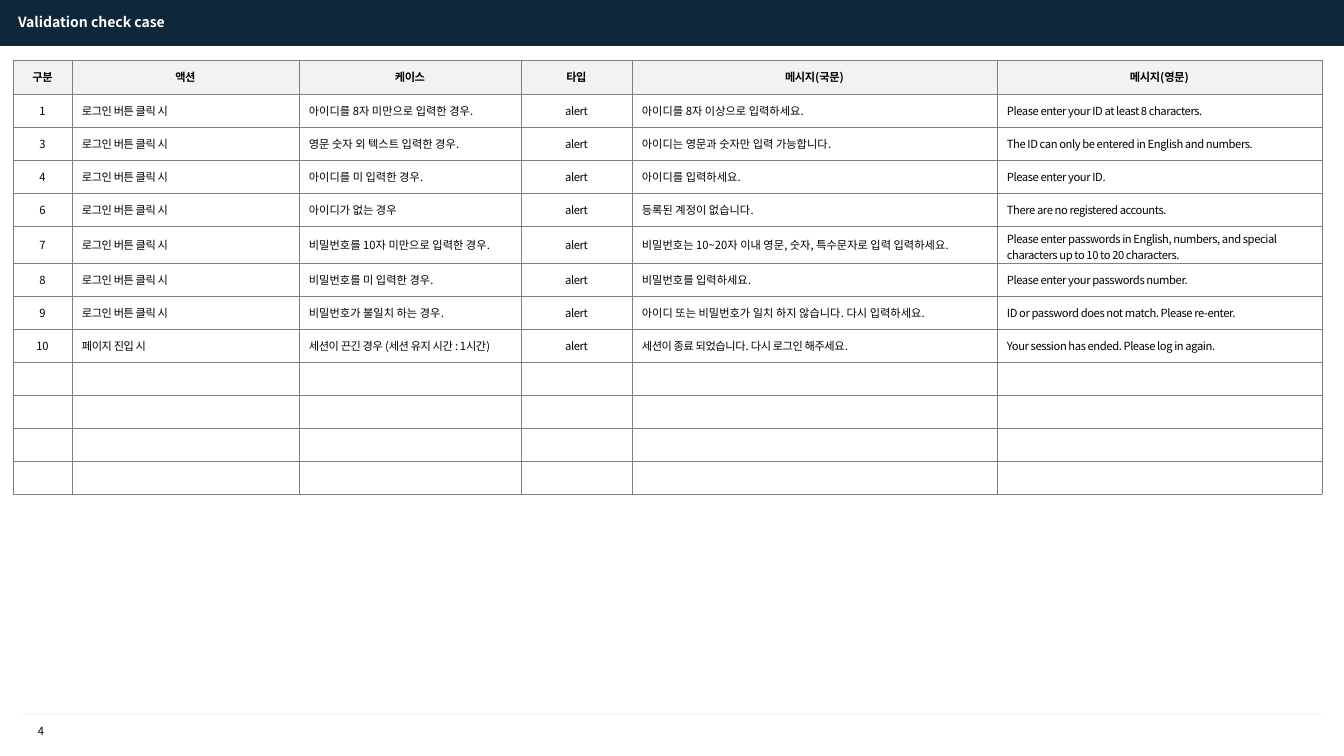
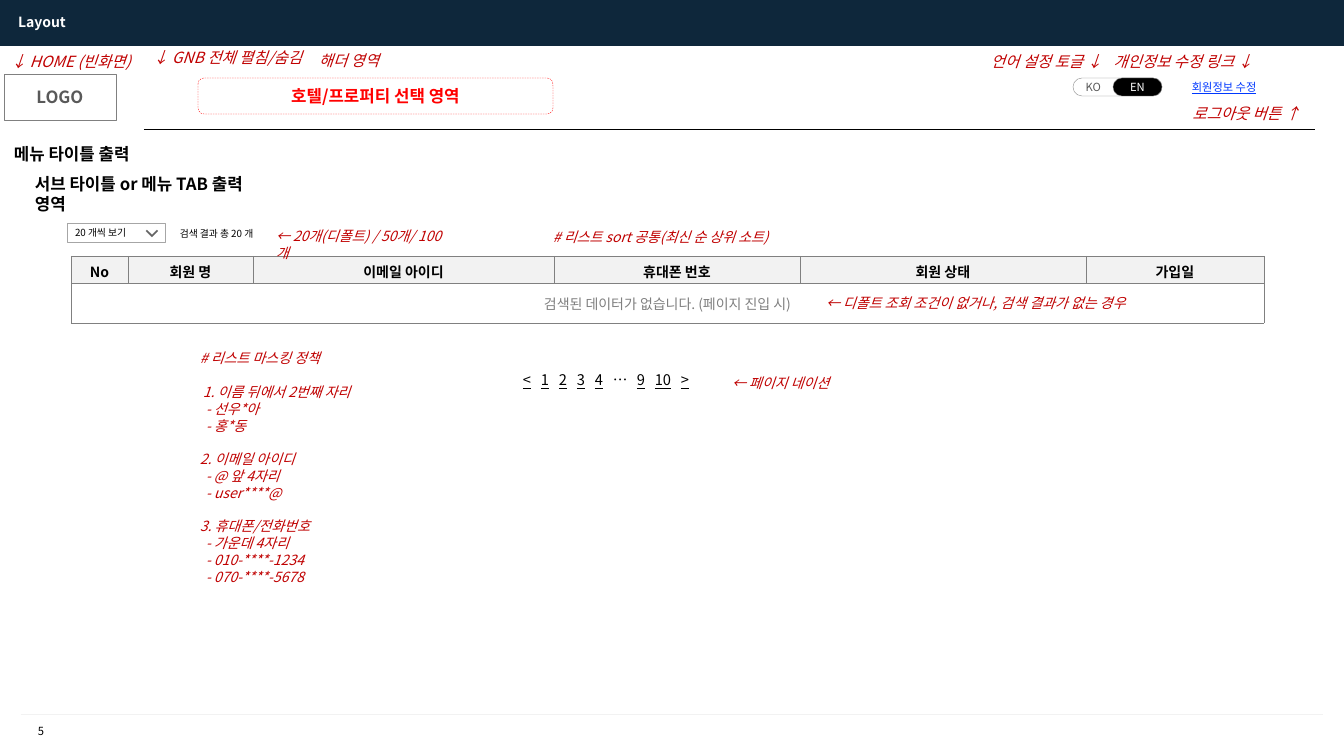
from lxml import etree
from pptx import Presentation
from pptx import util as u
from pptx.dml.color import RGBColor
from pptx.enum import dml, shapes, text
from pptx.oxml.ns import qn

SCALE = 914400 / 100.8
WIDTH, HEIGHT = 1344, 756
FIRST_NUMBER = 4
FONT = "Noto Sans CJK KR"
LINE_HEIGHT = 1.2
TIGHT = -30

COLORS = {
    "navy": "0E273B", "white": "FFFFFF", "black": "000000", "pale": "F2F2F2",
    "grey": "808080", "light": "A6A6A6", "dark": "595959", "chevron": "5F5F5F",
    "note": "C00000", "red": "FF0000", "link": "0038FE",
}

# name: (size, colour, font attributes)
STYLES = {
    "title": (10, "white", {"bold": True}),
    "small": (8, "black", {}),
    "caption": (7, "black", {}),
    "head_small": (8, "black", {"bold": True}),
    "head": (10, "black", {"bold": True}),
    "empty": (10, "grey", {"bold": False}),
    "note": (10, "note", {"italic": True}),
    "big_note": (11, "note", {"italic": True}),
    "heading": (12, "black", {"bold": True}),
    "logo": (12, "dark", {"bold": True}),
    "area": (12, "red", {"bold": True}),
    "link": (8, "link", {"underline": True}),
    "off": (8, "dark", {}),
    "on": (8, "white", {}),
    "pages": (10.5, "black", {}),
}

LEFT, CENTER, RIGHT = text.PP_ALIGN.LEFT, text.PP_ALIGN.CENTER, text.PP_ALIGN.RIGHT

CASE_COLUMNS = [("구분", 59), ("액션", 227), ("케이스", 222), ("타입", 111),
                ("메시지(국문)", 365), ("메시지(영문)", 325)]
LOGIN = "로그인 버튼 클릭 시"
# number, action, case, Korean message, English message
CASES = [
    ("1", LOGIN, "아이디를 8자 미만으로 입력한 경우.", "아이디를 8자 이상으로 입력하세요.",
     "Please enter your ID at least 8 characters."),
    ("3", LOGIN, "영문 숫자 외 텍스트 입력한 경우.", "아이디는 영문과 숫자만 입력 가능합니다.",
     "The ID can only be entered in English and numbers."),
    ("4", LOGIN, "아이디를 미 입력한 경우.", "아이디를 입력하세요.", "Please enter your ID."),
    ("6", LOGIN, "아이디가 없는 경우", "등록된 계정이 없습니다.",
     "There are no registered accounts."),
    ("7", LOGIN, "비밀번호를 10자 미만으로 입력한 경우.",
     "비밀번호는 10~20자 이내 영문, 숫자, 특수문자로 입력 입력하세요.",
     "Please enter passwords in English, numbers, and special characters up to 10 to 20 characters."),
    ("8", LOGIN, "비밀번호를 미 입력한 경우.", "비밀번호를 입력하세요.",
     "Please enter your passwords number."),
    ("9", LOGIN, "비밀번호가 불일치 하는 경우.",
     "아이디 또는 비밀번호가 일치 하지 않습니다. 다시 입력하세요.",
     "ID or password does not match. Please re-enter."),
    ("10", "페이지 진입 시", "세션이 끈긴 경우 (세션 유지 시간 : 1시간)",
     "세션이 종료 되었습니다. 다시 로그인 해주세요.",
     "Your session has ended. Please log in again."),
]
EMPTY_ROWS = 4
HEAD_ROW, CASE_ROW, TALL_CASE_ROW, TALL_CASE = 34, 33, 37, "7"

MEMBER_COLUMNS = [("No", 57), ("회원 명", 125), ("이메일 아이디", 301),
                  ("휴대폰 번호", 246), ("회원 상태", 286), ("가입일", 178)]
NO_DATA = "검색된 데이터가 없습니다. (페이지 진입 시)"

# text, left, top, width, style, alignment
LABELS = [
    ("← 디폴트 조회 조건이 없거나, 검색 결과가 없는 경우", 816, 290, 400, "note", LEFT),
    ("검색 결과 총 20 개", 170, 223, 110, "caption", LEFT),
    ("← 20개(디폴트) / 50개/ 100\v개", 266, 223, 240, "note", LEFT),
    ("# 리스트 sort 공통(최신 순 상위 소트)", 543, 224, 300, "note", LEFT),
    ("← 페이지 네이션", 722, 370, 150, "note", LEFT),
    ("↓ HOME (빈화면)", 1, 47, 160, "big_note", LEFT),
    ("↓ GNB 전체 펼침/숨김", 143, 43, 243, "big_note", LEFT),
    ("해더 영역", 309, 46, 110, "big_note", LEFT),
    ("언어 설정 토글 ↓", 869, 47, 243, "big_note", RIGHT),
    ("개인정보 수정 링크 ↓", 1020, 47, 243, "big_note", RIGHT),
    ("로그아웃 버튼 ↑", 1067, 99, 243, "big_note", RIGHT),
    ("메뉴 타이틀 출력", 4, 139, 180, "heading", LEFT),
    ("서브 타이틀 or 메뉴 TAB 출력\v영역", 25, 169, 290, "heading", LEFT),
    ("회원정보 수정", 1182, 75, 110, "link", LEFT),
]

RECT, ROUND = shapes.MSO_SHAPE.RECTANGLE, shapes.MSO_SHAPE.ROUNDED_RECTANGLE
# text, preset, box, corner, fill, line, line width, style, alignment, side inset
BOXES = [
    ("LOGO", RECT, (4, 74, 112, 46), None, None, "grey", 0.25, "logo", CENTER, 10),
    ("20 개씩 보기", RECT, (67, 223, 98, 19), None, "white", "light", 0.5, "caption", LEFT, 8),
    ("KO", ROUND, (1073, 78, 89, 18), 0.5, None, "grey", 0.25, "off", LEFT, 10),
    ("EN", ROUND, (1113, 78, 49, 18), 0.5, "black", "grey", 0.25, "on", CENTER, 0),
    ("호텔/프로퍼티 선택 영역", ROUND, (198, 78, 355, 36), None, None, "red", 0.25,
     "area", CENTER, 10),
]
CHEVRON = [(158, 231), (157, 230), (152, 235), (147, 230), (146, 231), (152, 237)]

# page mark and its distance from the first one
PAGES = [("<", 0), ("1", 18), ("2", 36), ("3", 54), ("4", 72), ("…", 90),
         ("9", 114), ("10", 132), (">", 158)]

# groups of (text, indent)
MASKING = [
    [("# 리스트 마스킹 정책", 0)],
    [("1. 이름 뒤에서 2번째 자리", 3), ("- 선우*아", 6), ("- 홍*동", 6)],
    [("2. 이메일 아이디", 0), ("- @ 앞 4자리", 6), ("- user****@", 6)],
    [("3. 휴대폰/전화번호", 0), ("- 가운데 4자리", 6), ("- 010-****-1234", 6),
     ("- 070-****-5678", 6)],
]


def px(length):
    return u.Emu(round(length * SCALE))


def rgb(name):
    return RGBColor.from_string(COLORS[name])


def format_paragraph(paragraph, style, align=LEFT, spacing=0, fixed=True):
    size, color, attributes = STYLES[style]
    paragraph.alignment = align
    if fixed:
        paragraph.line_spacing = u.Pt(size * LINE_HEIGHT)
    font = paragraph.font
    font.size, font.name = u.Pt(size), FONT
    font.color.rgb = rgb(color)
    for name, value in attributes.items():
        setattr(font, name, value)
    properties = paragraph._p.pPr.find(qn("a:defRPr"))
    etree.SubElement(properties, qn("a:ea"), typeface=FONT)
    if spacing:
        properties.set("spc", str(spacing))
    if not paragraph.runs:
        etree.SubElement(paragraph._p, qn("a:endParaRPr"), sz=str(int(size * 100)))


def add_text(slide, content, left, top, width, style, align=LEFT):
    height = STYLES[style][0] * LINE_HEIGHT * 1.4 * (content.count("\v") + 1) + 10
    box = slide.shapes.add_textbox(px(left), px(top), px(width), px(height))
    frame = box.text_frame
    frame.word_wrap = True
    frame.text = content
    format_paragraph(frame.paragraphs[0], style, align)
    return frame


def add_box(slide, content, preset, box, corner, fill, line, line_width, style, align, inset):
    shape = slide.shapes.add_shape(preset, *map(px, box))
    shape.shadow.inherit = False
    if corner is not None:
        shape.adjustments[0] = corner
    paint(shape, fill, line, line_width)
    frame = shape.text_frame
    frame.margin_left = frame.margin_right = px(inset)
    frame.margin_top = frame.margin_bottom = 0
    frame.vertical_anchor = text.MSO_ANCHOR.MIDDLE
    frame.text = content
    format_paragraph(frame.paragraphs[0], style, align)
    return shape


def paint(shape, fill, line=None, line_width=0.75):
    if fill:
        shape.fill.solid()
        shape.fill.fore_color.rgb = rgb(fill)
    else:
        shape.fill.background()
    if line:
        shape.line.color.rgb = rgb(line)
        shape.line.width = u.Pt(line_width)
    else:
        shape.line.fill.background()


def add_line(slide, left, right, y, color):
    line = slide.shapes.add_connector(shapes.MSO_CONNECTOR.STRAIGHT,
                                      px(left), px(y), px(right), px(y))
    line.line.color.rgb = rgb(color)
    line.line.width = u.Pt(0.75)
    etree.SubElement(line.element.spPr, qn("a:effectLst"))
    return line


def add_grid(slide, left, top, widths, heights):
    frame = slide.shapes.add_table(len(heights), len(widths), px(left), px(top),
                                   px(sum(widths)), px(sum(heights)))
    table = frame.table
    table.first_row = table.horz_banding = False
    for column, width in zip(table.columns, widths):
        column.width = px(width)
    for row, height in zip(table.rows, heights):
        row.height = px(height)
    return table


def fill_cell(cell, content, fill, style, align=CENTER, spacing=0, drop=0):
    """Fill one table cell; drop lowers its text by that many px."""
    cell.text = content
    cell.vertical_anchor = text.MSO_ANCHOR.MIDDLE
    cell.margin_top, cell.margin_bottom = px(2 + drop), px(2 - drop)
    cell.margin_left = px(10)
    cell.margin_right = px(10 if align == CENTER else 4)
    properties = cell._tc.get_or_add_tcPr()
    for side in ("lnL", "lnR", "lnT", "lnB"):
        border = etree.SubElement(properties, qn(f"a:{side}"), w=str(u.Pt(0.25)))
        solid = etree.SubElement(border, qn("a:solidFill"))
        etree.SubElement(solid, qn("a:srgbClr"), val=COLORS["grey"])
    cell.fill.solid()
    cell.fill.fore_color.rgb = rgb(fill)
    format_paragraph(cell.text_frame.paragraphs[0], style, align, spacing, fixed=False)


def decorate_layout(layout, slide):
    """Draw the top band and the footer rule, and move them into the layout."""
    band = slide.shapes.add_shape(RECT, 0, 0, px(WIDTH), px(46))
    band.shadow.inherit = False
    paint(band, "navy")
    rule = add_line(slide, 21, 1323, 715, "pale")
    for position, shape in enumerate((band, rule)):
        shape.element.xpath(".//p:cNvPr")[0].set("id", str(100 + position))
        layout.shapes.element.insert(2 + position, shape.element)


def start_slide(presentation, title):
    layout = presentation.slide_layouts[5]
    slide = presentation.slides.add_slide(layout)
    count = len(presentation.slides)
    if count == 1:
        decorate_layout(layout, slide)
    shape = slide.shapes.title
    shape.left, shape.top, shape.width, shape.height = map(px, (8, 8, 347, 27))
    frame = shape.text_frame
    frame.text = title
    frame.auto_size = text.MSO_AUTO_SIZE.NONE
    frame.vertical_anchor = text.MSO_ANCHOR.TOP
    format_paragraph(frame.paragraphs[0], "title")
    add_text(slide, str(FIRST_NUMBER + count - 1), 17, 719, 48, "small", CENTER)
    return slide


def build_cases(presentation):
    slide = start_slide(presentation, "Validation check case")
    heads, widths = zip(*CASE_COLUMNS)
    rows = [(number, action, case, "alert", korean, english)
            for number, action, case, korean, english in CASES]
    rows += [("",) * len(heads)] * EMPTY_ROWS
    heights = [HEAD_ROW] + [TALL_CASE_ROW if row[0] == TALL_CASE else CASE_ROW for row in rows]
    table = add_grid(slide, 13, 60, widths, heights)
    for column, head in enumerate(heads):
        fill_cell(table.cell(0, column), head, "pale", "head_small", spacing=TIGHT)
        for index, row in enumerate(rows, 1):
            loose = column in (2, 4) and row[0] != "10"
            two_lines = column == 5 and row[0] == TALL_CASE
            fill_cell(table.cell(index, column), row[column], "white", "small",
                      CENTER if column in (0, 3) else LEFT, 0 if loose else TIGHT,
                      drop=2 if two_lines else 0)


def add_pages(slide):
    frame = add_text(slide, "", 513, 366, 220, "pages")
    paragraph = frame.paragraphs[0]
    paragraph.clear()
    properties = paragraph._p.get_or_add_pPr()
    tabs = etree.Element(qn("a:tabLst"))
    properties.find(qn("a:defRPr")).addprevious(tabs)
    for mark, offset in PAGES:
        if offset:
            etree.SubElement(tabs, qn("a:tab"), pos=str(px(offset)), algn="l")
            paragraph.add_run().text = "\t"
        run = paragraph.add_run()
        run.text = mark
        run.font.underline = mark != "…"


def add_masking(slide):
    frame = add_text(slide, "", 190, 345, 220, "note")
    for group_index, group in enumerate(MASKING):
        for line_index, (content, indent) in enumerate(group):
            first = group_index == line_index == 0
            paragraph = frame.paragraphs[0] if first else frame.add_paragraph()
            paragraph.text = content
            if not first:
                format_paragraph(paragraph, "note")
                if line_index == 0:
                    paragraph.space_before = u.Pt(12)
            if indent:
                paragraph._p.get_or_add_pPr().set("marL", str(px(indent)))


def build_layout(presentation):
    slide = start_slide(presentation, "Layout")
    heads, widths = zip(*MEMBER_COLUMNS)
    table = add_grid(slide, 71, 256, widths, (27, 40))
    for column, head in enumerate(heads):
        fill_cell(table.cell(0, column), head, "pale", "head", drop=2)
        fill_cell(table.cell(1, column), "" if column else NO_DATA, "white", "empty")
    table.cell(1, 0).merge(table.cell(1, len(heads) - 1))
    for label in LABELS:
        add_text(slide, *label)
    for box in BOXES:
        shape = add_box(slide, *box)
    shape.line.dash_style = dml.MSO_LINE.DASH
    builder = slide.shapes.build_freeform(*CHEVRON[0], scale=SCALE)
    builder.add_line_segments(CHEVRON[1:], close=True)
    chevron = builder.convert_to_shape()
    chevron.shadow.inherit = False
    paint(chevron, "chevron", "grey", 0.25)
    add_line(slide, 144, 1315, 130, "black")
    add_pages(slide)
    add_masking(slide)


def main():
    presentation = Presentation()
    presentation.slide_width, presentation.slide_height = px(WIDTH), px(HEIGHT)
    build_cases(presentation)
    build_layout(presentation)
    presentation.save("out.pptx")


if __name__ == "__main__":
    main()
